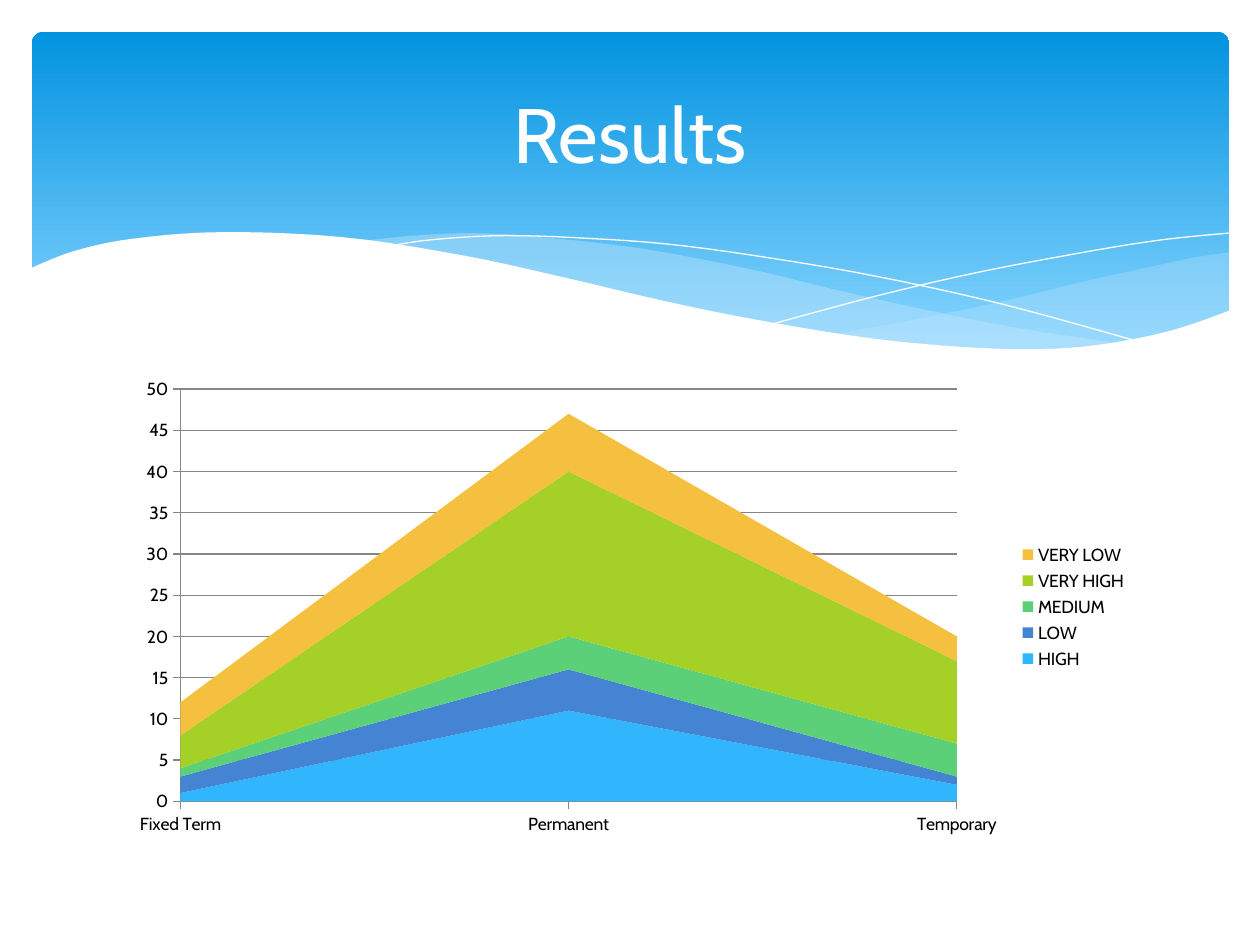
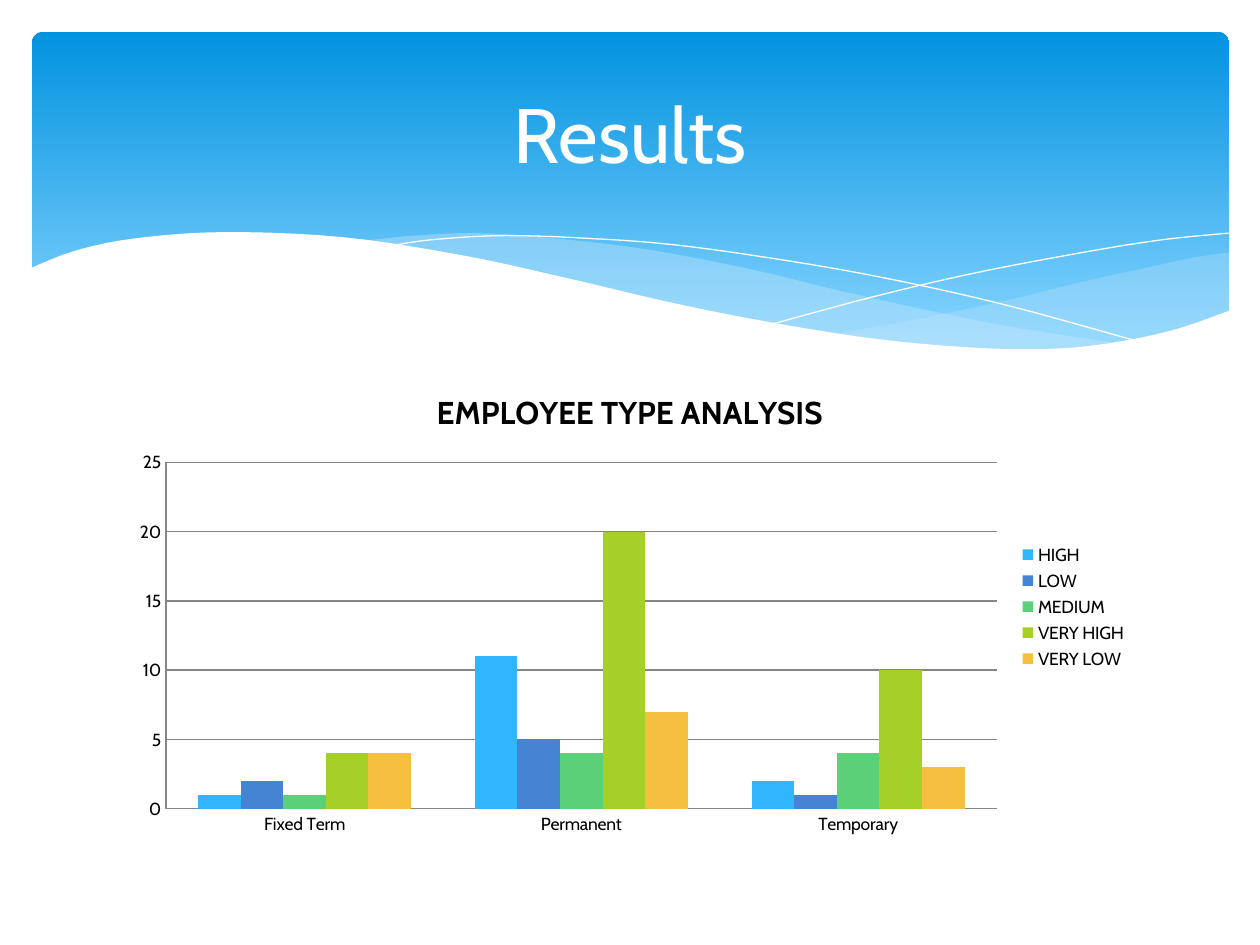
from lxml.etree import SubElement
from pptx import Presentation
from pptx.chart.data import CategoryChartData
from pptx.dml.color import RGBColor
from pptx.enum.chart import XL_CHART_TYPE, XL_LEGEND_POSITION, XL_TICK_MARK
from pptx.enum.shapes import MSO_SHAPE
from pptx.enum.text import MSO_ANCHOR, PP_ALIGN
from pptx.oxml.ns import qn
from pptx.util import Cm, Pt

FONT = "Cabin"
WHITE = RGBColor(0xFF, 0xFF, 0xFF)
BLACK = RGBColor(0x00, 0x00, 0x00)
GRID_GREY = RGBColor(0x86, 0x86, 0x86)
SKY_TOP = RGBColor(0x02, 0x93, 0xE0)
SKY_BOTTOM = RGBColor(0x83, 0xD3, 0xFE)
PALE_WAVE = RGBColor(0xC6, 0xE7, 0xFC)

HEADER_BOX = (Cm(0.64), Cm(0.64), Cm(24.14), Cm(6.86))
TITLE_BOX = (Cm(1.27), Cm(0.94), Cm(22.86), Cm(3.48))
CHART_BOX = (Cm(2.41), Cm(7.44), Cm(20.57), Cm(9.58))

RIGHT_WAVE = [
    [(16.15, 6.1), (17.88, 5.79), (19.81, 5.38), (21.23, 5.03),
     (22.38, 4.78), (23.44, 4.55), (24.14, 4.45)],
    [(24.14, 5.64), (22.94, 6.05), (21.51, 6.32), (19.76, 6.43),
     (17.96, 6.32), (16.15, 6.1)],
]
MIDDLE_WAVE = [
    [(6.63, 4.22), (7.7, 4.11), (9.02, 4.06), (10.59, 4.17), (12.42, 4.39),
     (14.55, 4.8), (16.33, 5.23), (18.19, 5.64), (19.86, 5.97), (22.05, 6.3)],
    [(22.05, 6.3), (20.9, 6.4), (19.58, 6.43), (18.06, 6.35), (16.26, 6.12),
     (14.2, 5.77), (11.84, 5.26), (9.63, 4.72), (8.05, 4.42), (6.63, 4.22)],
]
FALLING_LINE = [
    [(7.21, 4.32), (8.1, 4.19), (9.55, 4.11), (11.28, 4.17), (12.9, 4.29),
     (14.81, 4.55), (17.02, 4.93), (19.56, 5.49), (22.4, 6.27)],
]
RISING_LINE = [
    [(14.94, 5.89), (17.02, 5.33), (19.08, 4.85), (21.36, 4.42),
     (22.83, 4.19), (24.13, 4.06)],
]
WHITE_WAVE = [
    [(-0.05, 4.78), (0.86, 4.42), (2.06, 4.17), (3.86, 4.04), (6.25, 4.14),
     (8.64, 4.5), (10.72, 4.95), (12.8, 5.44), (14.68, 5.82), (16.84, 6.17),
     (18.69, 6.35), (20.27, 6.4), (21.59, 6.3), (22.99, 6.02), (24.18, 5.61)],
    [(24.18, 7.72), (-0.05, 7.72)],
]

EMPLOYEE_TYPES = ["Fixed Term", "Permanent", "Temporary"]
RATINGS = [
    ("HIGH", (1, 11, 2), RGBColor(0x31, 0xB6, 0xFD)),
    ("LOW", (2, 5, 1), RGBColor(0x45, 0x84, 0xD3)),
    ("MEDIUM", (1, 4, 4), RGBColor(0x5B, 0xD0, 0x78)),
    ("VERY HIGH", (4, 20, 10), RGBColor(0xA5, 0xD0, 0x28)),
    ("VERY LOW", (4, 7, 3), RGBColor(0xF5, 0xC0, 0x40)),
]


def smooth(knots, steps=5):
    if len(knots) < 3:
        return knots
    padded = [knots[0], *knots, knots[-1]]
    points = [knots[0]]
    for a, b, c, d in zip(padded, padded[1:], padded[2:], padded[3:]):
        for step in range(1, steps + 1):
            t = step / steps
            points.append(tuple(
                q + t / 2 * (r - p + t * (2 * p - 5 * q + 4 * r - s
                                          + t * (3 * (q - r) + s - p)))
                for p, q, r, s in zip(a, b, c, d)))
    return points


def add_curve(shapes, box, edges, close):
    left, top = box[:2]
    points = [(left + Cm(x), top + Cm(y)) for edge in edges for x, y in smooth(edge)]
    builder = shapes.build_freeform(*points[0])
    builder.add_line_segments(points[1:], close=close)
    curve = builder.convert_to_shape()
    curve.shadow.inherit = False
    return curve


def add_wave(shapes, box, edges, color, opacity=100):
    wave = add_curve(shapes, box, edges, close=True)
    wave.fill.solid()
    wave.fill.fore_color.rgb = color
    wave.line.fill.background()
    if opacity < 100:
        tint = wave.element.spPr.find(qn("a:solidFill")).find(qn("a:srgbClr"))
        SubElement(tint, qn("a:alpha"), val=str(opacity * 1000))


def add_hairline(shapes, box, edges):
    hairline = add_curve(shapes, box, edges, close=False)
    hairline.fill.background()
    hairline.line.color.rgb = WHITE
    hairline.line.width = Pt(0)


def add_header(shapes, box):
    header = shapes.add_group_shape()
    parts = header.shapes
    sky = parts.add_shape(MSO_SHAPE.ROUNDED_RECTANGLE, *box)
    sky.adjustments[0] = 0.034
    sky.shadow.inherit = False
    sky.line.fill.background()
    sky.fill.gradient()
    sky.fill.gradient_angle = 270
    for stop, color, position in zip(sky.fill.gradient_stops, (SKY_TOP, SKY_BOTTOM), (0, 0.9)):
        stop.color.rgb = color
        stop.position = position
    add_wave(parts, box, RIGHT_WAVE, PALE_WAVE, 29)
    add_wave(parts, box, MIDDLE_WAVE, PALE_WAVE, 40)
    add_hairline(parts, box, FALLING_LINE)
    add_hairline(parts, box, RISING_LINE)
    add_wave(parts, box, WHITE_WAVE, WHITE)
    return header


def prepare_layout(layout, header):
    for placeholder in list(layout.placeholders):
        if placeholder.placeholder_format.idx == 0:
            placeholder.left, placeholder.top, placeholder.width, placeholder.height = TITLE_BOX
            placeholder.text_frame.vertical_anchor = MSO_ANCHOR.MIDDLE
        else:
            layout.shapes.element.remove(placeholder.element)
    layout.shapes.element.insert(2, header.element)


def style_font(font, size, color):
    font.name = FONT
    font.size = Pt(size)
    font.color.rgb = color


def set_title(slide, wording):
    slide.shapes.title.text = wording
    paragraph = slide.shapes.title.text_frame.paragraphs[0]
    paragraph.alignment = PP_ALIGN.CENTER
    style_font(paragraph.font, 44, WHITE)


def add_ratings_chart(slide, box, kind, tick_mark, heading=None):
    ratings = CategoryChartData(number_format="General")
    ratings.categories = EMPLOYEE_TYPES
    for name, counts, _ in RATINGS:
        ratings.add_series(name, counts)
    chart = slide.shapes.add_chart(kind, *box, ratings).chart
    style_font(chart.font, 10, BLACK)

    chart.has_title = heading is not None
    if heading:
        chart.chart_title.text_frame.text = heading
        heading_font = chart.chart_title.text_frame.paragraphs[0].font
        style_font(heading_font, 18, BLACK)
        heading_font.bold = True

    chart.has_legend = True
    chart.legend.position = XL_LEGEND_POSITION.RIGHT
    chart.legend.include_in_layout = False

    chart.value_axis.has_major_gridlines = True
    chart.category_axis.has_major_gridlines = False
    for axis in (chart.category_axis, chart.value_axis):
        axis.major_tick_mark = tick_mark
        axis.minor_tick_mark = XL_TICK_MARK.NONE
    for line in (chart.category_axis.format.line, chart.value_axis.format.line,
                 chart.value_axis.major_gridlines.format.line):
        line.color.rgb = GRID_GREY
        line.width = Pt(0.75)

    plot = chart.plots[0]
    plot.vary_by_categories = False
    for series, (_, _, color) in zip(plot.series, RATINGS):
        series.format.fill.solid()
        series.format.fill.fore_color.rgb = color
    return plot


def main():
    presentation = Presentation()
    presentation.slide_width, presentation.slide_height = Cm(25.4), Cm(19.05)
    layout = presentation.slide_layouts[5]

    stacked, clustered = [presentation.slides.add_slide(layout) for _ in range(2)]
    prepare_layout(layout, add_header(stacked.shapes, HEADER_BOX))
    for slide in (stacked, clustered):
        set_title(slide, "Results")

    add_ratings_chart(stacked, CHART_BOX, XL_CHART_TYPE.AREA_STACKED, XL_TICK_MARK.OUTSIDE)
    columns = add_ratings_chart(clustered, CHART_BOX, XL_CHART_TYPE.COLUMN_CLUSTERED,
                                XL_TICK_MARK.NONE, "EMPLOYEE TYPE ANALYSIS")
    columns.gap_width = 150
    columns.overlap = 0
    presentation.save("out.pptx")


if __name__ == "__main__":
    main()
